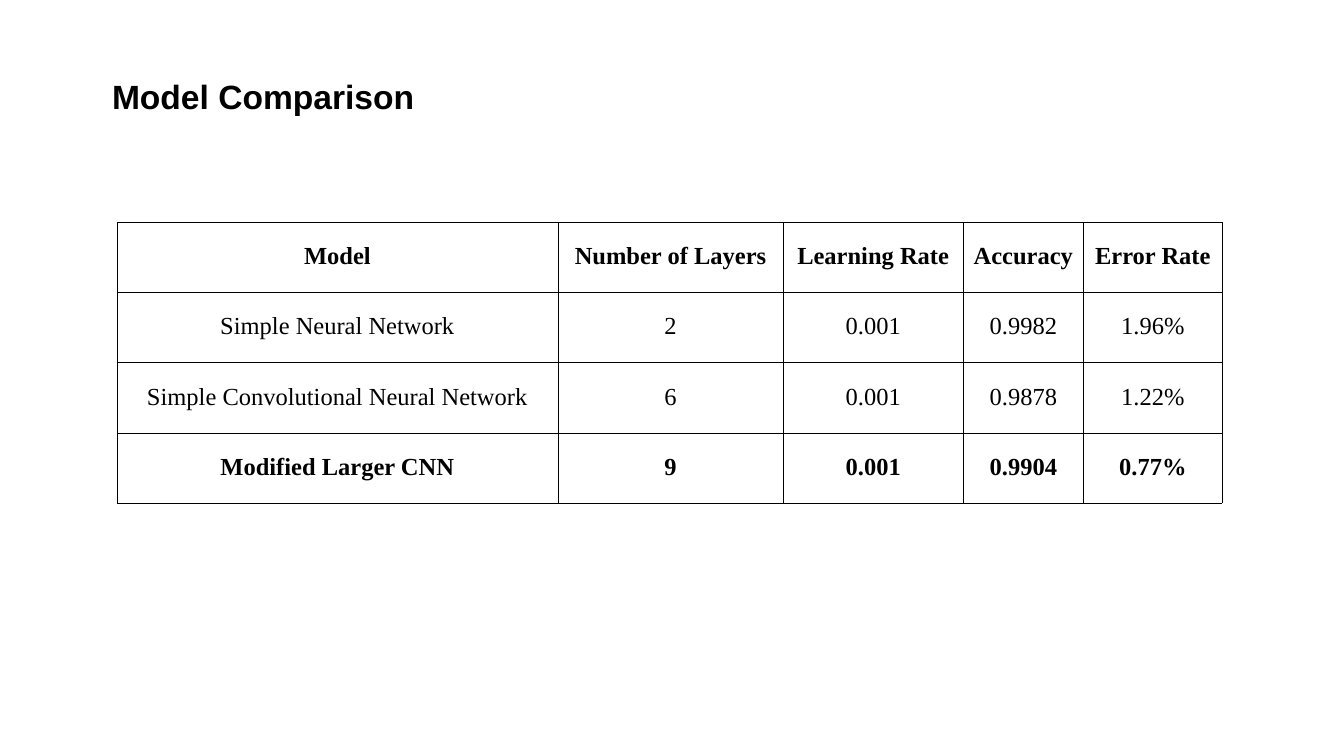
from lxml import etree
from pptx import Presentation
from pptx.dml.color import RGBColor
from pptx.enum.text import MSO_ANCHOR, MSO_AUTO_SIZE, PP_ALIGN
from pptx.oxml.ns import qn
from pptx.util import Pt

MID = MSO_ANCHOR.MIDDLE
FIT = MSO_AUTO_SIZE.SHAPE_TO_FIT_TEXT
LEFT, CENTER = PP_ALIGN.LEFT, PP_ALIGN.CENTER
COLORS = {"ink": "000000"}
HEAD, BODY = "Arial", "Times New Roman"


def write(frame, text, font=BODY, size=35, bold=False, color="ink", align=CENTER):
    """Put one formatted paragraph in a text frame."""
    para = frame.paragraphs[0]
    para.alignment = align
    para.line_spacing = 0.9
    para.space_before = Pt(0)
    run = para.add_run()
    run.text = text
    run.font.name = font
    run.font.size = Pt(size)
    run.font.bold = bold
    run.font.color.rgb = RGBColor.from_string(COLORS[color])


def pad(item, gap):
    """Set all four margins of a frame or cell."""
    item.margin_left = item.margin_right = Pt(gap)
    item.margin_top = item.margin_bottom = Pt(gap)


def edge(cell, side, width, color="ink"):
    """Draw one border of a cell."""
    line = etree.Element(qn(f"a:ln{side}"), w=str(Pt(width)))
    fill = etree.SubElement(line, qn("a:solidFill"))
    etree.SubElement(fill, qn("a:srgbClr"), val=COLORS[color])
    return line


class Deck:
    """Hold the deck, its style and the current slide."""

    def __init__(self, width, height):
        """Start a deck with one title slide."""
        self.deck = Presentation()
        self.deck.slide_width, self.deck.slide_height = Pt(width), Pt(height)
        self.slide = self.deck.slides.add_slide(self.deck.slide_layouts[5])

    def title(self, text, left, top, width, height):
        """Place and fill the title."""
        shape = self.slide.shapes.title
        shape.left, shape.top = Pt(left), Pt(top)
        shape.width, shape.height = Pt(width), Pt(height)
        frame = shape.text_frame
        frame.word_wrap = False
        frame.auto_size = FIT
        frame.vertical_anchor = MID
        pad(frame, 4.5)
        write(frame, text, font=HEAD, size=48, bold=True, align=LEFT)

    def table(self, rows, left, top, widths, height, strong):
        """Add a ruled table; rows listed in strong are bold."""
        table = self.slide.shapes.add_table(
            len(rows), len(widths), Pt(left), Pt(top),
            Pt(sum(widths)), Pt(height * len(rows))).table
        table.first_row = table.horz_banding = False
        for col, width in zip(table.columns, widths):
            col.width = Pt(width)
        for r, row in enumerate(rows):
            table.rows[r].height = Pt(height)
            for c, text in enumerate(row):
                self.cell(table.cell(r, c), text, r, r in strong)

    def cell(self, cell, text, row, bold):
        """Fill one cell and rule its edges, thicker under the header."""
        cell.vertical_anchor = MID
        pad(cell, 0.75)
        write(cell.text_frame, text, bold=bold)
        cell.fill.background()
        props = cell._tc.get_or_add_tcPr()
        heavy = {"T": row == 1, "B": row == 0}
        for spot, side in enumerate("LRTB"):
            props.insert(spot, edge(cell, side, 3 if heavy.get(side) else 1))

    def save(self):
        """Write the file."""
        self.deck.save("out.pptx")


ROWS = [
    ("Model", "Number of Layers", "Learning Rate", "Accuracy", "Error Rate"),
    ("Simple Neural Network", "2", "0.001", "0.9982", "1.96%"),
    ("Simple Convolutional Neural Network", "6", "0.001", "0.9878", "1.22%"),
    ("Modified Larger CNN", "9", "0.001", "0.9904", "0.77%"),
]

deck = Deck(1920, 1080)
deck.title("Model Comparison", 155.5, 108.5, 444, 65)
deck.table(ROWS, 167, 317.5, (630, 322, 257, 172, 198), 100.3, strong=(0, 3))
deck.save()
